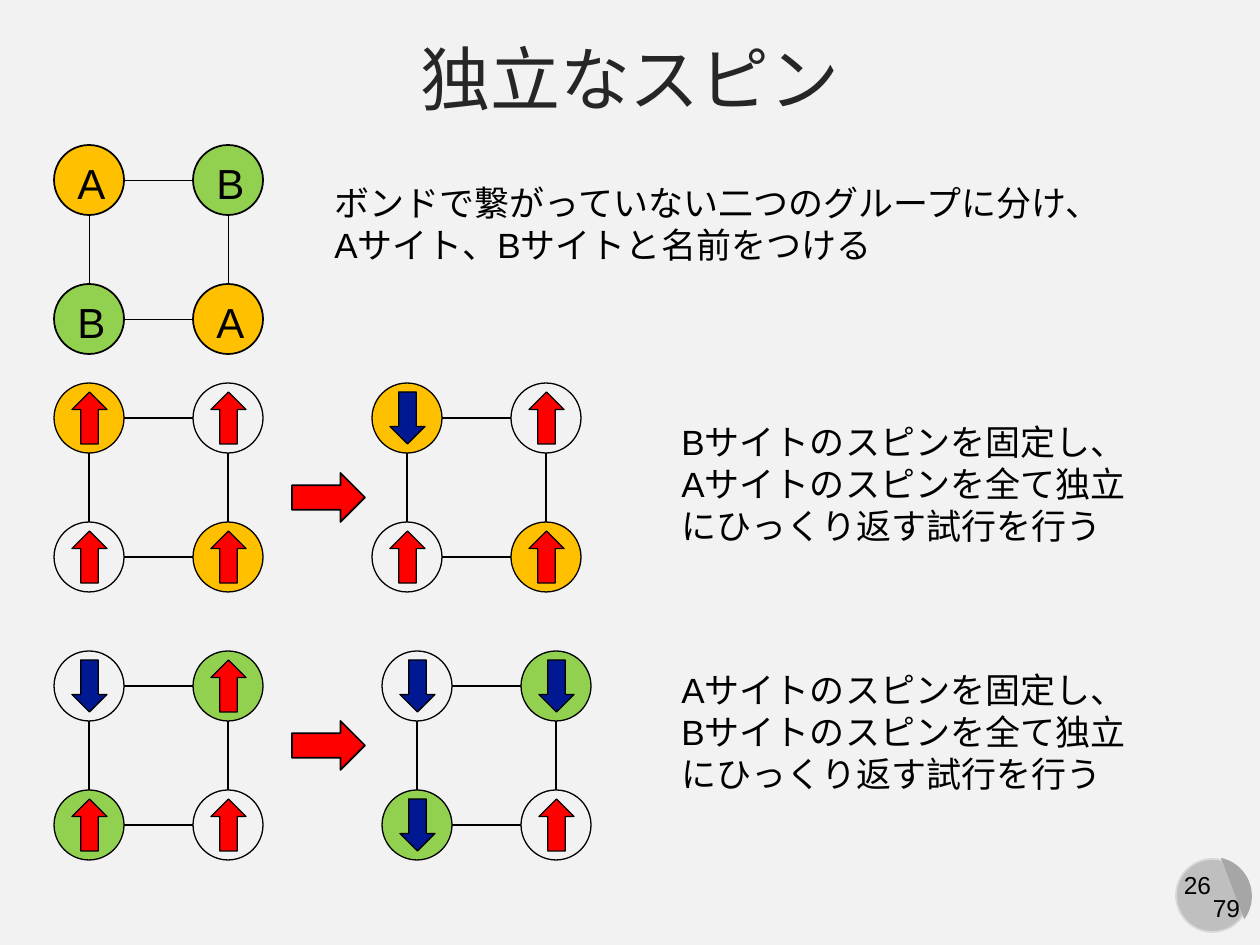
from lxml.etree import SubElement
from pptx import Presentation
from pptx.dml.color import RGBColor
from pptx.enum.shapes import MSO_CONNECTOR as Link, MSO_SHAPE as Kind
from pptx.enum.text import MSO_ANCHOR as Anchor, MSO_AUTO_SIZE as Auto, PP_ALIGN as Align
from pptx.oxml.ns import qn
from pptx.util import Emu, Pt

HUES = {
    "back": "F2F2F2", "ink": "000000", "title": "262626",
    "gold": "FFC000", "green": "92D050", "red": "FF0000", "navy": "011893",
    "disc": "BFBFBF", "rim": "D9D9D9", "chord": "A6A6A6",
}
SCALE = 914400 / 126
FONT = "Arial"
STEP, DISC = 139, 70


def px(num):
    """Turn pixels into EMU."""
    return Emu(round(num * SCALE))


def hue(name):
    """Look up a named colour."""
    return RGBColor.from_string(HUES[name])


def add_form(host, kind, box, fill=None, line="ink", width=0.75, turn=0):
    """Add a preset shape with plain fill and line."""
    form = host.shapes.add_shape(kind, *map(px, box))
    form.shadow.inherit = False
    form.rotation = turn
    if fill:
        form.fill.solid()
        form.fill.fore_color.rgb = hue(fill)
    else:
        form.fill.background()
    if line:
        form.line.color.rgb = hue(line)
        form.line.width = Pt(width)
    else:
        form.line.fill.background()
    return form


def style(frame, size, color="ink", align=Align.LEFT):
    """Format every paragraph and run of a frame."""
    for para in frame.paragraphs:
        para.alignment = align
        for run in para.runs:
            run.font.name = FONT
            run.font.size = Pt(size)
            run.font.color.rgb = hue(color)


def add_text(host, box, text, size=20, wrap=False, align=Align.LEFT):
    """Add a text box."""
    frame = host.shapes.add_textbox(*map(px, box)).text_frame
    frame.text = text
    frame.word_wrap = wrap
    frame.auto_size = Auto.SHAPE_TO_FIT_TEXT
    style(frame, size, align=align)


def add_bond(host, start, end, width):
    """Add a straight bond between two sites."""
    bond = host.shapes.add_connector(Link.STRAIGHT, *map(px, start + end))
    bond.line.color.rgb = hue("ink")
    bond.line.width = Pt(width)
    SubElement(bond._element.spPr, qn("a:effectLst"))


def add_spin(host, left, top, mark):
    """Add an up or down spin arrow inside a site."""
    up = mark == "↑"
    add_form(host, Kind.DOWN_ARROW, (left + 18, top + 9, 35, 52),
             "red" if up else "navy", turn=180 if up else 0)


def add_grid(slide, left, top, fills, marks, rim=0.75, bond=0.75):
    """Add a two by two lattice, row by row, with a mark on each site."""
    group = slide.shapes.add_group_shape()
    for spot, (fill, mark) in enumerate(zip(fills, marks)):
        row, col = divmod(spot, 2)
        x, y = left + col * STEP, top + row * STEP
        add_form(group, Kind.OVAL, (x, y, DISC, DISC), fill, width=rim)
        if mark in "AB":
            add_text(group, (x + 11, y + 6, 49, 58), mark, 24)
        else:
            add_spin(group, x, y, mark)
    half = DISC // 2
    for gap in (0, STEP):
        x, y = left + half + gap, top + half + gap
        add_bond(group, (x, top + DISC), (x, top + STEP), bond)
        add_bond(group, (left + DISC, y), (left + STEP, y), bond)


def add_title(slide, text):
    """Place and format the title."""
    title = slide.shapes.title
    title.left, title.top, title.width, title.height = map(px, (0, 26, 1260, 103))
    frame = title.text_frame
    frame.text = text
    frame.vertical_anchor = Anchor.MIDDLE
    style(frame, 40, "title", Align.CENTER)


def add_page(slide, page, total):
    """Add the page badge."""
    add_form(slide, Kind.OVAL, (1176, 859, 73, 73), "disc", "rim", 1)
    chord = add_form(slide, Kind.CHORD, (1174, 857, 78, 78), "chord", None, turn=255)
    chord.adjustments[0], chord.adjustments[1] = 16.2, 84.85
    add_text(slide, (1170, 864, 55, 43), page, 14, align=Align.CENTER)
    add_text(slide, (1200, 887, 53, 43), total, 14, align=Align.CENTER)


def add_trial(slide, top, next_left, fills, old, new, arrow, note):
    """Add one update step: lattice before, arrow, lattice after, note."""
    add_grid(slide, 54, top, fills, old)
    add_grid(slide, next_left, top, fills, new)
    add_form(slide, Kind.RIGHT_ARROW, (292, arrow, 73, 49), "red", width=1)
    add_text(slide, (669, arrow - 59, 486, 139), note, wrap=True)


def main():
    """Build the slide."""
    deck = Presentation()
    deck.slide_width, deck.slide_height = px(1260), px(945)
    slide = deck.slides.add_slide(deck.slide_layouts[5])
    slide.background.fill.solid()
    slide.background.fill.fore_color.rgb = hue("back")
    add_page(slide, "26", "79")
    add_title(slide, "独立なスピン")
    add_text(slide, (322, 175, 803, 97),
             "ボンドで繋がっていない二つのグループに分け、\nAサイト、Bサイトと名前をつける")
    add_grid(slide, 54, 145, ("gold", "green", "green", "gold"), "ABBA", 1, 0.5)
    add_trial(slide, 383, 372, ("gold", None, None, "gold"), "↑↑↑↑", "↓↑↑↑", 473,
              "Bサイトのスピンを固定し、Aサイトのスピンを全て独立にひっくり返す試行を行う")
    add_trial(slide, 651, 382, (None, "green", "green", None), "↓↑↑↑", "↓↓↓↑", 721,
              "Aサイトのスピンを固定し、Bサイトのスピンを全て独立にひっくり返す試行を行う")
    deck.save("out.pptx")


if __name__ == "__main__":
    main()
